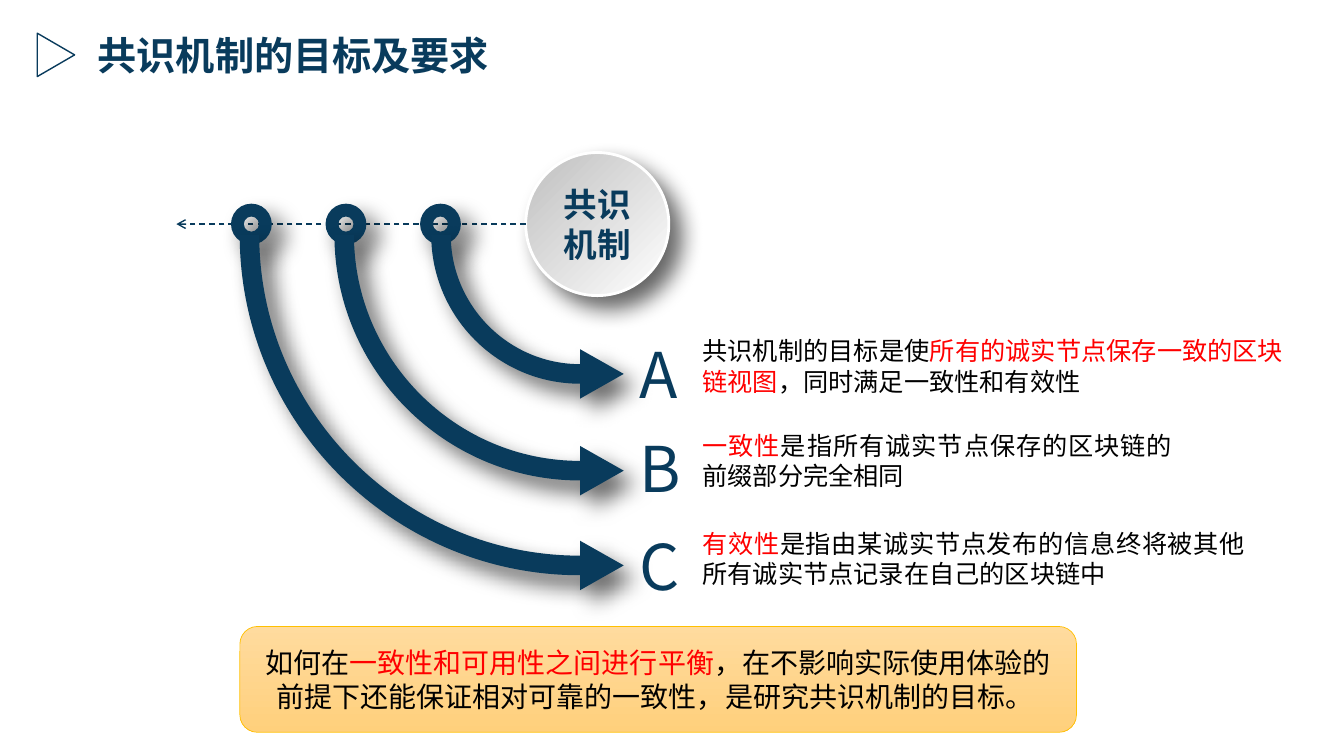
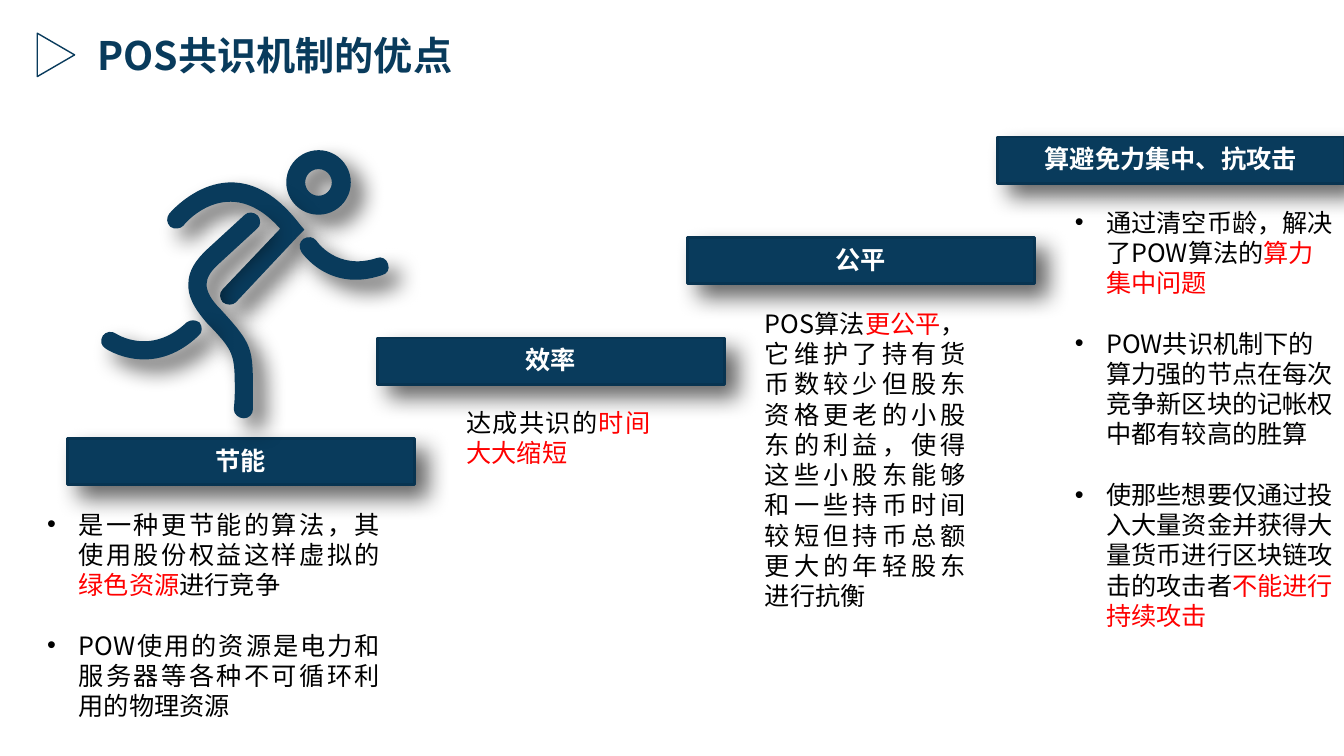
import pptx
import pptx.dml.color
import pptx.enum.dml
import pptx.enum.shapes
import pptx.enum.text
import pptx.oxml.ns
import pptx.util
from lxml import etree

# Shared look; all lengths are cells of a grid with ten cells to the inch
COLUMNS, ROWS = 133.33, 75
CELL = 91440
FONT = "Noto Sans CJK SC"
NAVY, NAVY_EDGE, RED, BLACK, WHITE = "093B5C", "083451", "FF0000", "000000", "FFFFFF"
SHAPES = pptx.enum.shapes.MSO_SHAPE
ALIGN = pptx.enum.text.PP_ALIGN
MIDDLE = pptx.enum.text.MSO_ANCHOR.MIDDLE
BLANK_LINE = 21.6
ARC_HANDLE = 0.55  # handle length of a quarter circle, as a share of its radius
qn = pptx.oxml.ns.qn

# Runner's limbs: a start point, then lines (2 numbers) and Bézier curves (6)
RUNNER_LIMBS = [
    # Rear arm and trunk
    [(18.2, 22.4), (17.9, 22.7, 17.3, 22.8, 16.9, 22.5),
     (16.5, 22.1, 16.5, 21.6, 16.8, 21.2), (16.8, 21.2, 23.1, 13.6, 29.7, 22.2),
     (30.2, 22.8), (29.6, 23.4), (23.4, 30), (23.1, 30.3, 22.5, 30.3, 22.1, 30),
     (21.8, 29.6, 21.7, 29.1, 22.1, 28.7), (27.8, 22.7),
     (22.7, 16.9, 18.2, 22.3, 18.2, 22.4)],
    # Standing leg
    [(24.3, 21.3), (24.6, 21, 25.2, 21, 25.6, 21.4),
     (25.9, 21.8, 25.9, 22.4, 25.5, 22.7), (21.8, 26.1),
     (21, 26.8, 20.5, 27.5, 20.5, 28.2), (20.5, 28.9, 20.9, 29.7, 21.9, 30.7),
     (25.1, 34.2, 25.1, 34.5, 25.1, 39), (25.1, 39.3, 25.1, 39.6, 25.1, 40.6),
     (25.1, 41.1, 24.7, 41.5, 24.2, 41.5), (23.7, 41.5, 23.2, 41.1, 23.2, 40.6),
     (23.2, 40.5, 23.3, 39.7, 23.3, 39), (23.3, 35.1, 23.3, 34.9, 20.5, 32),
     (19.2, 30.5, 18.6, 29.3, 18.7, 28.1), (18.7, 26.9, 19.4, 25.8, 20.6, 24.7),
     (24.3, 21.3)],
    # Trailing leg
    [(10.5, 34.6), (10, 34.3, 9.9, 33.8, 10.2, 33.3),
     (10.5, 32.9, 11.1, 32.8, 11.5, 33.1), (11.5, 33.1, 14.9, 35.4, 18.5, 32),
     (18.9, 31.7, 19.4, 31.7, 19.8, 32), (20.1, 32.4, 20.1, 33, 19.7, 33.3),
     (15.1, 37.7, 10.5, 34.6, 10.5, 34.6)],
    # Front arm
    [(29.9, 25), (29.6, 24.5, 29.7, 24, 30.1, 23.7),
     (30.6, 23.4, 31.1, 23.5, 31.4, 23.9), (31.4, 23.9, 33.4, 26.9, 37.4, 25.6),
     (37.8, 25.4, 38.4, 25.7, 38.5, 26.2), (38.7, 26.7, 38.4, 27.2, 37.9, 27.3),
     (32.6, 29.1, 29.9, 25, 29.9, 25)],
]


def grid(*cells):
    return [round(cell * CELL) for cell in cells]


def rgb(value):
    return pptx.dml.color.RGBColor.from_string(value)


def paint(shape, fill=None, line=None, weight=1, shadow=False):
    """Set fill (a colour, a pair of gradient colours or None), line and shadow."""
    shape.shadow.inherit = False
    if isinstance(fill, tuple):
        shape.fill.gradient()
        for stop, color in zip(shape.fill.gradient_stops, fill):
            stop.color.rgb = rgb(color)
    elif fill:
        shape.fill.solid()
        shape.fill.fore_color.rgb = rgb(fill)
    else:
        shape.fill.background()
    if line:
        shape.line.color.rgb = rgb(line)
        shape.line.width = pptx.util.Pt(weight)
    else:
        shape.line.fill.background()
    if shadow:
        effects = shape._element.spPr.find(qn("a:effectLst"))
        outer = etree.SubElement(effects, qn("a:outerShdw"), blurRad="203200",
                                 dist="152400", dir="2700000", algn="tl",
                                 rotWithShape="0")
        color = etree.SubElement(outer, qn("a:srgbClr"), val=BLACK)
        etree.SubElement(color, qn("a:alpha"), val="60000")


def write(shape, paragraphs, size, color=BLACK, bold=False, align=ALIGN.LEFT,
          anchor=None, bullets=False):
    """Fill a shape with paragraphs; parts between asterisks become red."""
    frame = shape.text_frame
    frame.word_wrap = True
    if anchor is not None:
        frame.vertical_anchor = anchor
    for index, text in enumerate(paragraphs):
        paragraph = frame.add_paragraph() if index else frame.paragraphs[0]
        paragraph.alignment = align
        if bullets:
            properties = paragraph._p.get_or_add_pPr()
            properties.set("marL", "285750")
            properties.set("indent", "-285750")
            etree.SubElement(properties, qn("a:buFont"), typeface="Arial")
            etree.SubElement(properties, qn("a:buChar"), char="•")
        if index:
            paragraph.space_before = pptx.util.Pt(BLANK_LINE)
        for part, words in enumerate(text.split("*")):
            if not words:
                continue
            run = paragraph.add_run()
            run.text = words
            run.font.size = pptx.util.Pt(size)
            run.font.bold = bold
            run.font.color.rgb = rgb(RED if part % 2 else color)
            run.font.name = FONT
            etree.SubElement(run._r.get_or_add_rPr(), qn("a:ea"), typeface=FONT)


def add_preset(slide, preset, box, **look):
    shape = slide.shapes.add_shape(preset, *grid(*box))
    paint(shape, **look)
    return shape


def add_text(slide, box, paragraphs, size=18, **style):
    textbox = slide.shapes.add_textbox(*grid(*box))
    write(textbox, paragraphs, size, **style)
    return textbox


def add_ring(slide, center_x, center_y, diameter, hole):
    ring = add_preset(slide, SHAPES.DONUT,
                      (center_x - diameter / 2, center_y - diameter / 2,
                       diameter, diameter), fill=NAVY, shadow=True)
    ring.adjustments[0] = (1 - hole / diameter) / 2


def add_outline(slide, start, *segments):
    """Draw a closed outline of lines (2 numbers) and Bézier curves (6)."""
    builder = slide.shapes.build_freeform(*grid(*start), scale=1.0)
    builder.add_line_segments([grid(*segment[i:i + 2]) for segment in segments
                               for i in range(0, len(segment), 2)], close=True)
    outline = builder.convert_to_shape()
    # Join the three points of each curve into one Bézier segment
    lines = iter(list(outline._element.iter(qn("a:lnTo"))))
    for segment in segments:
        first, *others = [next(lines) for _ in range(len(segment) // 2)]
        if others:
            curve = etree.Element(qn("a:cubicBezTo"))
            first.addprevious(curve)
            for line in (first, *others):
                curve.append(line[0])
                line.getparent().remove(line)
    paint(outline, fill=NAVY, shadow=True)


def add_curved_arrow(slide, center_x, center_y, radius):
    """Quarter-circle band from the left to the bottom, ending in a head."""
    half_band, half_head, head_length = 0.97, 2.45, 4.33
    inner, outer = radius - half_band, radius + half_band
    inner_handle, outer_handle = inner * ARC_HANDLE, outer * ARC_HANDLE
    tip_y = center_y + radius
    add_outline(
        slide,
        (center_x, center_y + outer),
        (center_x - outer_handle, center_y + outer,
         center_x - outer, center_y + outer_handle, center_x - outer, center_y),
        (center_x - inner, center_y),
        (center_x - inner, center_y + inner_handle,
         center_x - inner_handle, center_y + inner, center_x, center_y + inner),
        (center_x, tip_y - half_head),
        (center_x + head_length, tip_y),
        (center_x, tip_y + half_head))


def add_dashed_arrow(slide, start, end):
    arrow = slide.shapes.add_connector(pptx.enum.shapes.MSO_CONNECTOR.STRAIGHT,
                                       *grid(*start, *end))
    arrow.line.color.rgb = rgb(NAVY)
    arrow.line.width = pptx.util.Pt(1)
    arrow.line.dash_style = pptx.enum.dml.MSO_LINE.DASH
    etree.SubElement(arrow.line._get_or_add_ln(), qn("a:tailEnd"), type="arrow")
    etree.SubElement(arrow._element.spPr, qn("a:effectLst"))


def add_titled_slide(deck, title):
    slide = deck.slides.add_slide(deck.slide_layouts[6])
    add_text(slide, (8.7, 2.6, 66, 5.7), [title], size=28, color=NAVY, bold=True)
    marker = add_preset(slide, SHAPES.ISOSCELES_TRIANGLE, (3.4, 3.6, 4.3, 3.7), line=NAVY)
    marker.rotation = 90
    return slide


def build_goals(deck):
    slide = add_titled_slide(deck, "共识机制的目标及要求")

    # Hub and axis
    axis_y, arc_x, arc_y = 22.23, 57.55, 23.3
    hub = add_preset(slide, SHAPES.OVAL, (52.15, axis_y - 7.1, 14.2, 14.2),
                     fill=(WHITE, "BFBFBF"), line=WHITE, weight=2, shadow=True)
    hub.fill.gradient_angle = 135
    write(hub, ["共识机制"], 24, NAVY, bold=True, align=ALIGN.CENTER, anchor=MIDDLE)
    add_dashed_arrow(slide, (52.15, axis_y), (17.5, axis_y))

    # Arrows to the three goals: letter, radius, text top, text width, text
    goals = [
        ("A", 13.8, 32.8, 59.6,
         "共识机制的目标是使*所有的诚实节点保存一致的区块链视图*，同时满足一致性和有效性 "),
        ("B", 23.4, 42.2, 48.6,
         "*一致性*是指所有诚实节点保存的区块链的前缀部分完全相同"),
        ("C", 32.8, 51.9, 55.8,
         "*有效性*是指由某诚实节点发布的信息终将被其他所有诚实节点记录在自己的区块链中 "),
    ]
    for index, (letter, radius, top, width, text) in enumerate(goals):
        add_ring(slide, 43.7 - 9.38 * index, axis_y, 4.05, 1.5)
        add_curved_arrow(slide, arc_x, arc_y, radius)
        initial = add_text(slide, (62.6, top, 6.1, 8.4), [letter], size=45,
                           color=NAVY, anchor=MIDDLE)
        frame = initial.text_frame
        frame.margin_left, frame.margin_top, frame.margin_right, frame.margin_bottom = \
            grid(0.8, 0.4, 0.8, 0.4)
        add_text(slide, (68.7, top, width, 7.1), [text], align=ALIGN.JUSTIFY)

    # Conclusion
    conclusion = add_preset(slide, SHAPES.ROUNDED_RECTANGLE, (23.8, 62.15, 83, 10.5),
                            fill=("FFDB9E", "FFD07C"), line="FFC000", weight=0.5)
    conclusion.fill.gradient_angle = 270
    write(conclusion, ["如何在*一致性和可用性之间进行平衡*，在不影响实际使用体验的"
                       "前提下还能保证相对可靠的一致性，是研究共识机制的目标。 "],
          20, align=ALIGN.CENTER, anchor=MIDDLE)


def build_advantages(deck):
    slide = add_titled_slide(deck, "POS共识机制的优点")

    # Rising steps: heading, text box, alignment, bullets, paragraphs
    steps = [
        ("节能", (3.7, 50, 35, 22.2), ALIGN.JUSTIFY, True,
         ["是一种更节能的算法，其使用股份权益这样虚拟的*绿色资源*进行竞争",
          "POW使用的资源是电力和服务器等各种不可循环利用的物理资源"]),
        ("效率", (45.3, 39.9, 20.2, 7.1), ALIGN.JUSTIFY, False,
         ["达成共识的*时间大大缩短*"]),
        ("公平", (74.9, 30.1, 21.9, 31.3), ALIGN.JUSTIFY, False,
         ["POS算法*更公平*，它维护了持有货币数较少但股东资格更老的小股东的利益，"
          "使得这些小股东能够和一些持币时间较短但持币总额更大的年轻股东进行抗衡"]),
        ("算避免力集中、抗攻击", (105.65, 20.05, 27.7, 43.4), ALIGN.LEFT, True,
         ["通过清空币龄，解决了POW算法的*算力集中问题*",
          "POW共识机制下的算力强的节点在每次竞争新区块的记帐权中都有较高的胜算",
          "使那些想要仅通过投入大量资金并获得大量货币进行区块链攻击的攻击者"
          "*不能进行持续攻击*"]),
    ]
    for index, (heading, box, align, bullets, paragraphs) in enumerate(steps):
        bar = add_preset(slide, SHAPES.RECTANGLE,
                         (6.7 + 30.75 * index, 43.5 - 9.97 * index, 34.4, 4.6),
                         fill=NAVY, line=NAVY_EDGE, weight=2, shadow=True)
        write(bar, [heading], 18, WHITE, bold=True, align=ALIGN.CENTER, anchor=MIDDLE)
        bar.text_frame.margin_bottom, = grid(0.8)
        add_text(slide, box, paragraphs, align=align, bullets=bullets)

    # Runner
    add_ring(slide, 31.6, 18.1, 6.4, 2.65)
    for limb in RUNNER_LIMBS:
        add_outline(slide, *limb)


def main():
    deck = pptx.Presentation()
    deck.slide_width, deck.slide_height = grid(COLUMNS, ROWS)
    build_goals(deck)
    build_advantages(deck)
    deck.save("out.pptx")


if __name__ == "__main__":
    main()
